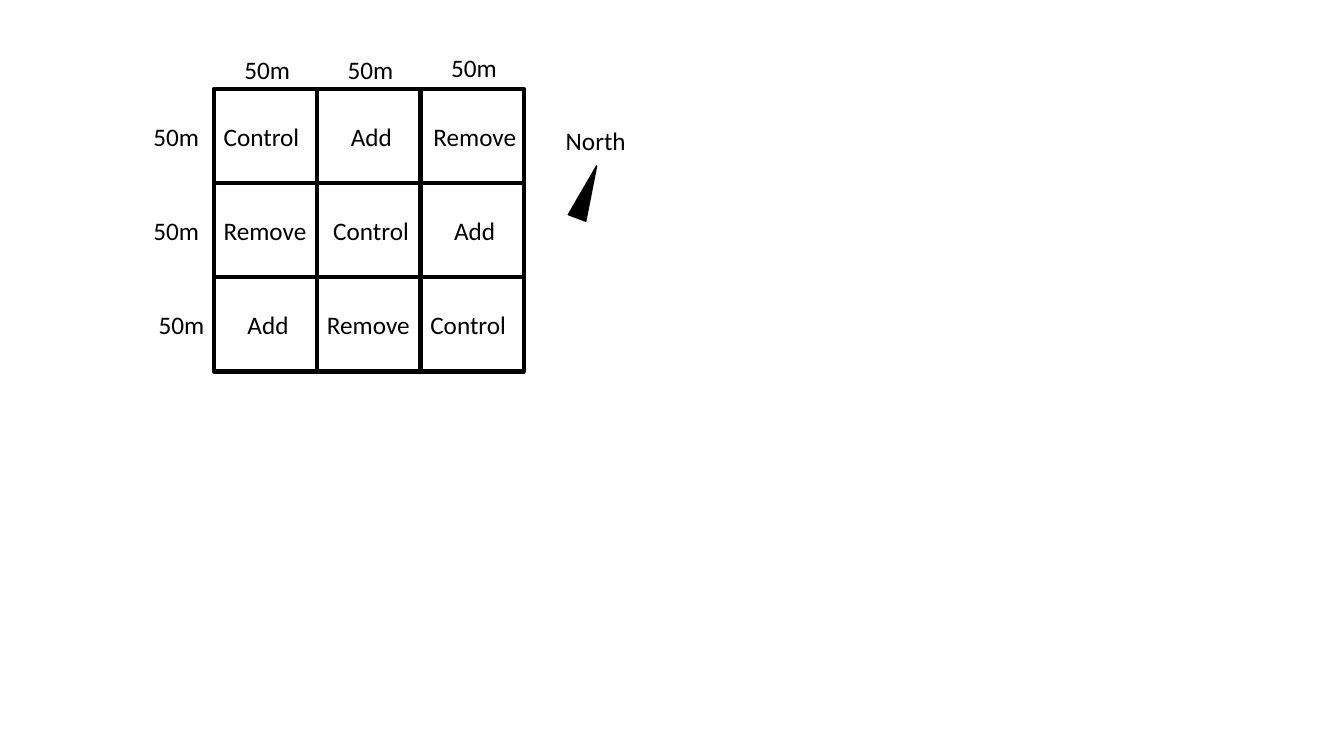
"""Draw a three by three plot plan with side lengths and a north arrow."""
from itertools import product
from typing import NamedTuple

from pptx import Presentation
from pptx.dml.color import RGBColor
from pptx.enum.shapes import MSO_SHAPE as Form
from pptx.enum.text import MSO_AUTO_SIZE as Fit
from pptx.util import Inches, Pt

WIDE, HIGH = 13.33, 7.5
LEFT, TOP = 2.12, 0.88
COL, ROW = 1.025, 0.935
INK = "000000"
SIZE = 3
KINDS = ["Control", "Add", "Remove"]
FONT = {"name": "Calibri", "size": Pt(18)}
FRAME = {"word_wrap": True, "auto_size": Fit.SHAPE_TO_FIT_TEXT}


class Area(NamedTuple):
    """Place and size in grid columns and rows."""
    col: float
    row: float
    wide: float = 1
    high: float = 1


class Label(NamedTuple):
    """Words and the area that holds them."""
    text: str
    area: Area


def paint(code: str) -> RGBColor:
    """Turn a hex string into a colour."""
    return RGBColor.from_string(code)


def apply(item: object, style: dict) -> None:
    """Set each format value on the item."""
    for key, value in style.items():
        setattr(item, key, value)


def place(area: Area) -> tuple:
    """Turn grid units into slide lengths."""
    return (Inches(LEFT + area.col * COL), Inches(TOP + area.row * ROW),
            Inches(area.wide * COL), Inches(area.high * ROW))


def draw_form(slide, form: Form, area: Area, line: float, fill: str = "", turn: float = 0) -> None:
    """Draw one outlined shape, filled if a colour is given."""
    shape = slide.shapes.add_shape(form, *place(area))
    shape.shadow.inherit = False
    shape.rotation = turn
    if fill:
        shape.fill.solid()
        shape.fill.fore_color.rgb = paint(fill)
    else:
        shape.fill.background()
    shape.line.color.rgb = paint(INK)
    shape.line.width = Pt(line)


def draw_label(slide, label: Label) -> None:
    """Write one label in its text box."""
    frame = slide.shapes.add_textbox(*place(label.area)).text_frame
    apply(frame, FRAME)
    run = frame.paragraphs[0].add_run()
    run.text = label.text
    apply(run.font, FONT)
    run.font.color.rgb = paint(INK)


def plot_label(row: int, col: int) -> Label:
    """Name a plot, each kind once in every row and column."""
    kind = KINDS[(col - row) % SIZE]
    shift = {("Control", 1): 0.06, ("Remove", 2): 0.03}.get((kind, col), 0)
    if kind == "Add":
        return Label(kind, Area(col + 0.23, row + 0.29, 0.75, 0.43))
    return Label(kind, Area(col + shift, row + 0.29, 1.22, 0.43))


def main() -> None:
    """Build and save the slide."""
    deck = Presentation()
    apply(deck, {"slide_width": Inches(WIDE), "slide_height": Inches(HIGH)})
    slide = deck.slides.add_slide(deck.slide_layouts[6])
    cells = list(product(range(SIZE), repeat=2))
    for row, col in cells:
        draw_form(slide, Form.RECTANGLE, Area(col, row), 3)
    heads = [Area(n + 0.2, top, 0.79, 0.43) for n, top in enumerate([-0.42, -0.42, -0.44])]
    sides = [Area(left, n + 0.29, 0.79, 0.43) for n, left in enumerate([-0.68, -0.68, -0.63])]
    labels = [plot_label(row, col) for row, col in cells]
    labels += [Label("50m", area) for area in heads + sides]
    labels.append(Label("North", Area(3.31, 0.34, 1, 0.43)))
    for label in labels:
        draw_label(slide, label)
    draw_form(slide, Form.FLOWCHART_MERGE, Area(3.52, 0.8, 0.18, 0.59), 1, INK, 200.6)
    deck.save("out.pptx")


main()
